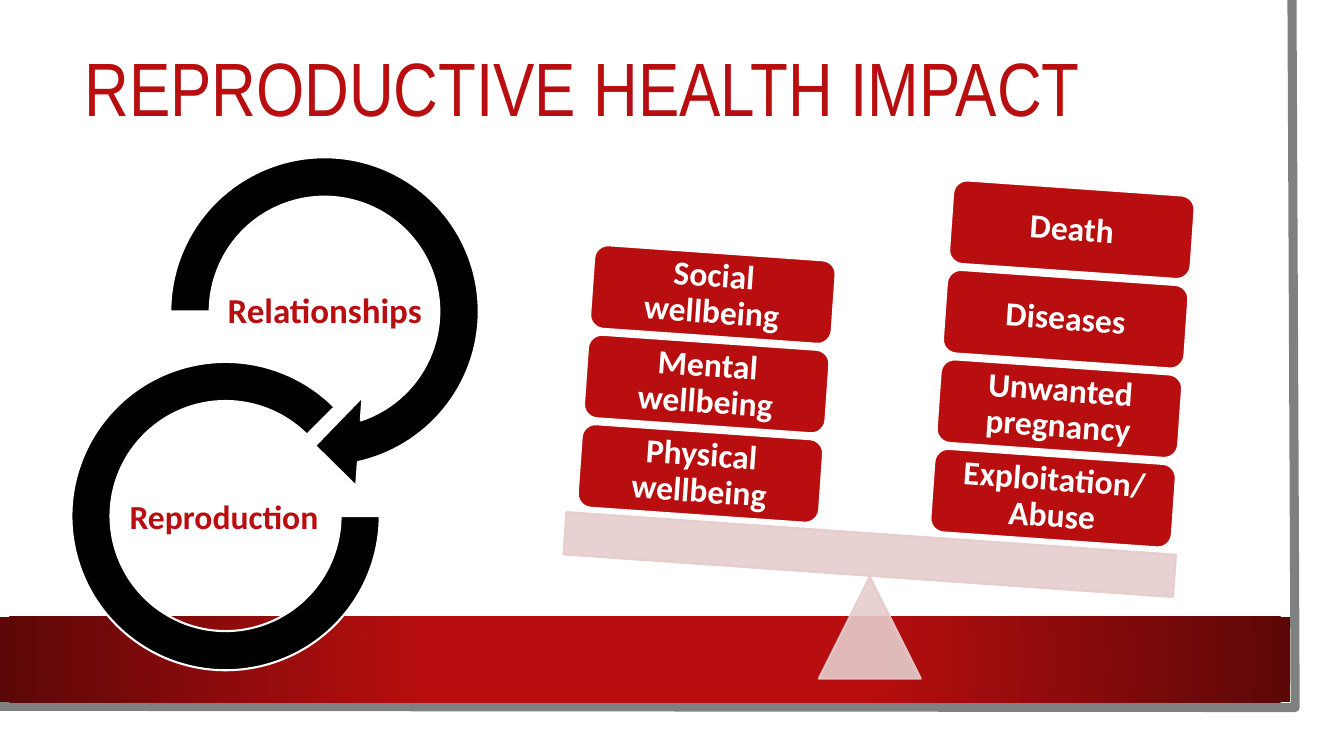
import math
from dataclasses import dataclass

import lxml.etree
import pptx
import pptx.dml.color
import pptx.enum.shapes
import pptx.enum.text
import pptx.oxml.ns
import pptx.util

Cm = pptx.util.Cm
Pt = pptx.util.Pt
RGB = pptx.dml.color.RGBColor
SHAPE = pptx.enum.shapes.MSO_SHAPE
ALIGN = pptx.enum.text.PP_ALIGN
qn = pptx.oxml.ns.qn


@dataclass(frozen=True)
class Theme:
    red: RGB = RGB(0xB8, 0x0E, 0x0F)
    dark_red: RGB = RGB(0x5C, 0x07, 0x07)
    pink: RGB = RGB(0xE6, 0xCC, 0xCC)
    grey: RGB = RGB(0x80, 0x80, 0x80)
    black: RGB = RGB(0, 0, 0)
    white: RGB = RGB(255, 255, 255)
    title_font: str = "Arial Narrow"
    body_font: str = "Calibri"
    title_size: int = 54
    label_size: int = 24
    large_label_size: int = 25
    outline: float = 1.5
    frame: float = 6.5


T = Theme()
TILT = 4


def add_shape(s, kind, box, fill, line=None):
    sp = s.shapes.add_shape(kind, *map(Cm, box))
    sp.shadow.inherit = False
    sp.fill.solid()
    sp.fill.fore_color.rgb = fill
    if line is None:
        sp.line.fill.background()
    else:
        sp.line.color.rgb = line
        sp.line.width = Pt(T.outline)
    return sp


def set_text(sp, text, size, color, font=T.body_font, bold=True, align=ALIGN.CENTER, inset=0.05):
    tf = sp.text_frame
    tf.word_wrap = True
    tf.vertical_anchor = pptx.enum.text.MSO_ANCHOR.MIDDLE
    tf.margin_left = tf.margin_right = tf.margin_top = tf.margin_bottom = Cm(inset)
    p = tf.paragraphs[0]
    p.alignment = align
    p.line_spacing = 0.9
    r = p.add_run()
    r.text = text
    r.font.name = font
    r.font.size = Pt(size)
    r.font.bold = bold
    r.font.color.rgb = color


def set_opacity(sp, percent):
    for color in sp._element.spPr.iter(qn("a:srgbClr")):
        lxml.etree.SubElement(color, qn("a:alpha"), val=str(percent * 1000))


def set_radial_gradient(sp, stops):
    sp.fill.gradient()
    for stop, (position, color) in zip(sp.fill.gradient_stops, stops):
        stop.position = position
        stop.color.rgb = color
    grad = sp._element.spPr.find(qn("a:gradFill"))
    grad.remove(grad.find(qn("a:lin")))
    radial = lxml.etree.SubElement(grad, qn("a:path"), path="circle")
    edges = dict.fromkeys("ltrb", "50000")
    lxml.etree.SubElement(radial, qn("a:fillToRect"), **edges)


def add_backdrop(s, box):
    x, y, w, h = box
    add_shape(s, SHAPE.RECTANGLE, box, T.white)
    right, bottom = x + w - 0.63, y + h - 0.64
    fb = s.shapes.build_freeform(Cm(right - 0.08), Cm(y))
    fb.add_line_segments([(Cm(right), Cm(bottom)), (Cm(x - 0.08), Cm(bottom - 0.03))], close=False)
    frame = fb.convert_to_shape()
    frame.shadow.inherit = False
    frame.fill.background()
    frame.line.color.rgb = T.grey
    frame.line.width = Pt(T.frame)
    bar = add_shape(s, SHAPE.RECTANGLE, (x, bottom - 2.29, w - 0.76, 2.16), T.red)
    set_radial_gradient(bar, [(0.34, T.red), (1, T.dark_red)])


def add_title(s, box, text):
    sp = s.shapes.add_textbox(*map(Cm, box))
    set_text(sp, text, T.title_size, T.red, T.title_font, False, ALIGN.LEFT, 0.25)


def add_cycle(s, box, upper, lower):
    x, y, w, h = box
    arrow, arc, label_w, label_h = 9.04, 7.77, 5.05, 2.51
    rings = [
        (SHAPE.CIRCULAR_ARROW, x + w - arrow, y, arrow,
         (0.11, 11.42, 45, 108, 0.125), upper, x + 3.86, y + 3.28, T.large_label_size),
        (SHAPE.BLOCK_ARC, x, y + h - arc, arc,
         (0, 189, 0.127), lower, x + 1.32, y + 8.48, T.label_size),
    ]
    for kind, left, top, side, adjustments, text, label_x, label_y, size in rings:
        sp = add_shape(s, kind, (left, top, side, side), T.black, T.white)
        for i, value in enumerate(adjustments):
            sp.adjustments[i] = value
        label = s.shapes.add_textbox(*map(Cm, (label_x, label_y, label_w, label_h)))
        set_text(label, text, size, T.red)


def add_seesaw(s, box, stacks):
    x, y, w, h = box
    base, plank_h, block_w, block_h, step = 2.57, 1.07, 6.1, 2.11, 2.26
    cx, base_y = x + w / 2, y + h - base
    plank_y = base_y - plank_h - 0.02
    cy = plank_y + plank_h / 2
    fulcrum = add_shape(s, SHAPE.ISOSCELES_TRIANGLE, (cx - base / 2, base_y, base, base), T.pink, T.pink)
    plank = add_shape(s, SHAPE.RECTANGLE, (x, plank_y, w, plank_h), T.pink, T.pink)
    plank.rotation = TILT
    for sp in (fulcrum, plank):
        set_opacity(sp, 90)
    sin, cos = math.sin(math.radians(TILT)), math.cos(math.radians(TILT))
    for along, labels in stacks:
        for i, text in enumerate(labels):
            rise = 1.74 + i * step
            left = cx + along * cos + rise * sin - block_w / 2
            top = cy + along * sin - rise * cos - block_h / 2
            sp = add_shape(s, SHAPE.ROUNDED_RECTANGLE, (left, top, block_w, block_h), T.red, T.white)
            sp.rotation = TILT
            set_text(sp, text, T.label_size, T.white, inset=0.25)


def main():
    prs = pptx.Presentation()
    prs.slide_width, prs.slide_height = Cm(33.87), Cm(19.05)
    s = prs.slides.add_slide(prs.slide_layouts[6])
    add_backdrop(s, (0, 0, 33.27, 18.47))
    add_title(s, (1.88, 0.71, 28.88, 3.2), "REPRODUCTIVE HEALTH IMPACT")
    add_seesaw(s, (14.22, 4.72, 15.4, 12.38), [
        (4.51, ["Exploitation/ Abuse", "Unwanted pregnancy", "Diseases", "Death"]),
        (-4.4, ["Physical wellbeing", "Mental wellbeing", "Social wellbeing"]),
    ])
    add_cycle(s, (1.8, 3.33, 10.9, 13.56), "Relationships", "Reproduction")
    prs.save("out.pptx")


if __name__ == "__main__":
    main()
